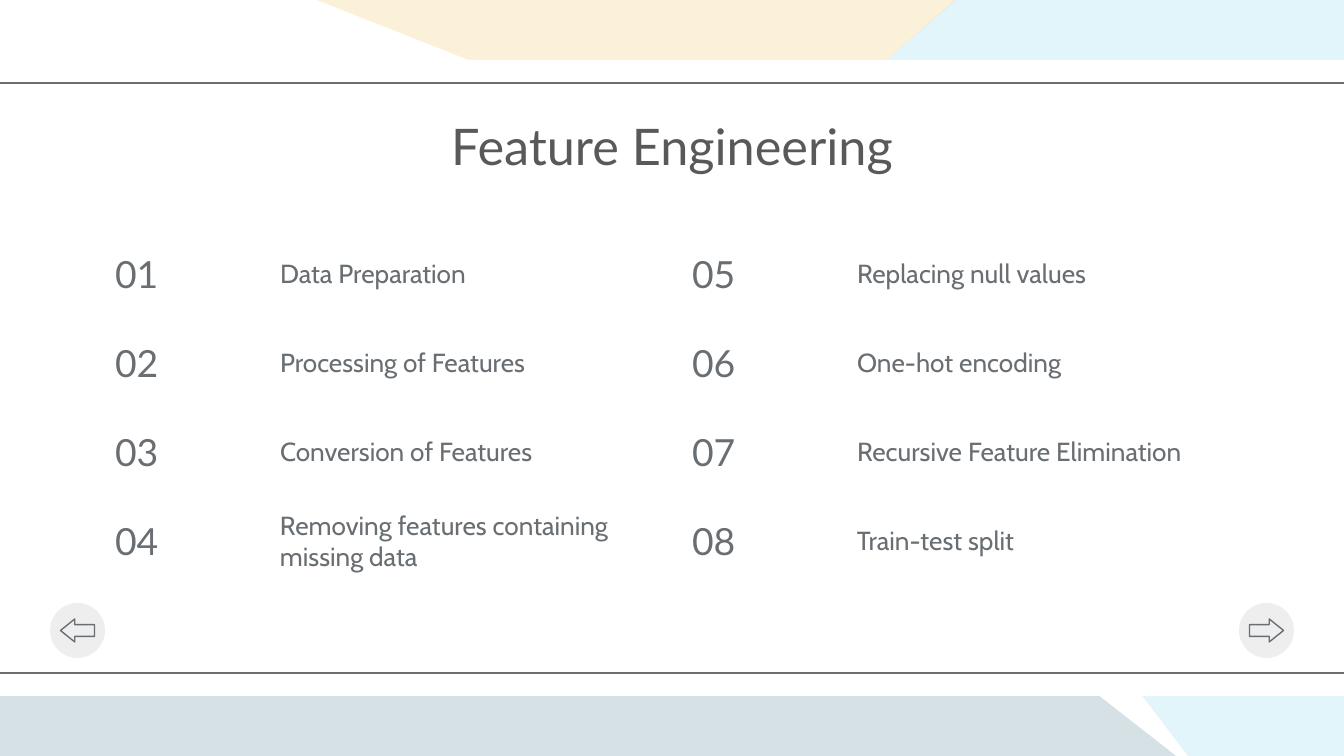
from dataclasses import dataclass

from lxml.etree import SubElement
from pptx import Presentation
from pptx.dml.color import RGBColor
from pptx.enum.shapes import MSO_CONNECTOR as Connector, MSO_SHAPE as Shape
from pptx.enum.text import MSO_ANCHOR as Anchor, PP_ALIGN as Align
from pptx.oxml.ns import qn
from pptx.util import Emu, Pt

WIDTH, HEIGHT = 1344, 756
SCALE = 9144000 / WIDTH  # EMU per px


@dataclass(frozen=True)
class Theme:
    paper: str = "FFFFFF"
    ink: str = "696E72"
    title_ink: str = "595959"
    grey_blue: str = "96B3C1"
    cream: str = "F7E5B7"
    sky: str = "9EDDEF"
    button: str = "EEEEEE"
    head_font: str = "Lato"
    body_font: str = "Cabin"
    title_size: int = 27
    number_size: int = 20
    label_size: int = 14
    line_width: float = 0.75


THEME = Theme()

LEFT_STEPS = ["Data Preparation", "Processing of Features", "Conversion of Features",
              "Removing features containing\nmissing data"]
RIGHT_STEPS = ["Replacing null values", "One-hot encoding",
               "Recursive Feature Elimination", "Train-test split"]


def px(length):
    return Emu(round(length * SCALE))


def color(value):
    return RGBColor.from_string(value)


def paint(shape, fill, opacity=100):
    shape.shadow.inherit = False
    shape.line.fill.background()
    shape.fill.solid()
    shape.fill.fore_color.rgb = color(fill)
    if opacity < 100:
        solid = shape.fill._xPr.find(qn("a:solidFill"))
        SubElement(solid[0], qn("a:alpha")).set("val", str(opacity * 1000))


def add_shape(slide, kind, left, top, width, height):
    return slide.shapes.add_shape(kind, px(left), px(top), px(width), px(height))


def add_polygon(slide, points, fill, opacity):
    builder = slide.shapes.build_freeform(*points[0], scale=SCALE)
    builder.add_line_segments(points[1:], close=True)
    paint(builder.convert_to_shape(), fill, opacity)


def add_rule(slide, left, top, width):
    line = slide.shapes.add_connector(
        Connector.STRAIGHT, px(left), px(top), px(left + width), px(top))
    line.line.color.rgb = color(THEME.ink)
    line.line.width = Pt(THEME.line_width)
    SubElement(line._element.spPr, qn("a:effectLst"))


def add_text(slide, box, text, font, size, ink=THEME.ink, align=Align.LEFT):
    frame = slide.shapes.add_textbox(*map(px, box)).text_frame
    frame.word_wrap = True
    frame.vertical_anchor = Anchor.MIDDLE
    frame.margin_left = frame.margin_right = px(13)
    frame.margin_top = frame.margin_bottom = px(13)
    for index, content in enumerate(text.split("\n")):
        paragraph = frame.add_paragraph() if index else frame.paragraphs[0]
        paragraph.alignment = align
        run = paragraph.add_run()
        run.text = content
        run.font.name = font
        run.font.size = Pt(size)
        run.font.color.rgb = color(ink)


def add_backdrop(slide, left, top, width, height):
    right, bottom = left + width, top + height
    # Coloured facets, seen above and below the panel
    add_polygon(slide, [(left, top + 332), (left, bottom), (left + 1176, bottom),
                        (left + 610, top + 313)], THEME.grey_blue, 39)
    add_polygon(slide, [(left + 317, top), (left + 956, top),
                        (left + 755, top + 173)], THEME.cream, 53)
    add_polygon(slide, [(left + 955, top), (right, top), (right, bottom),
                        (left + 1188, bottom), (left + 749, top + 180)], THEME.sky, 29)
    # White panel between two rules
    band = 60
    panel = add_shape(slide, Shape.RECTANGLE, left, top + band, width, height - 2 * band)
    paint(panel, THEME.paper)
    for rule_top in (top + 83, bottom - 83):
        add_rule(slide, left, rule_top, width)


def add_steps(slide, left, top, labels, first, last_width):
    pitch, row_height, number_width, label_offset, label_width = 89, 59, 172, 165, 419
    for row, label in enumerate(labels):
        row_top = top + row * pitch
        add_text(slide, (left, row_top, number_width, row_height),
                 f"{first + row:02d}", THEME.head_font, THEME.number_size)
        width = last_width if row == len(labels) - 1 else label_width
        add_text(slide, (left + label_offset, row_top, width, row_height),
                 label, THEME.body_font, THEME.label_size)


def add_button(slide, left, top, size, rotation):
    disc = add_shape(slide, Shape.OVAL, left, top, size, size)
    paint(disc, THEME.button)
    # Outlined arrow, centred on the disc
    width, height = 34, 23
    arrow = add_shape(slide, Shape.RIGHT_ARROW, left + (size - width) / 2,
                      top + (size - height) / 2, width, height)
    arrow.adjustments[0], arrow.adjustments[1] = 0.51, 0.62
    arrow.rotation = rotation
    arrow.shadow.inherit = False
    arrow.fill.background()
    arrow.line.color.rgb = color(THEME.ink)
    arrow.line.width = Pt(THEME.line_width)


def main():
    presentation = Presentation()
    presentation.slide_width, presentation.slide_height = px(WIDTH), px(HEIGHT)
    slide = presentation.slides.add_slide(presentation.slide_layouts[6])

    add_backdrop(slide, 0, 0, WIDTH, HEIGHT)
    # Numbered steps in two columns
    add_steps(slide, 102, 244, LEFT_STEPS, 1, 523)
    add_steps(slide, 679, 244, RIGHT_STEPS, 5, 372)
    # Title
    add_text(slide, (275, 108, 794, 74), "Feature Engineering", THEME.head_font,
             THEME.title_size, THEME.title_ink, Align.CENTER)
    # Back and forward buttons
    for left, rotation in ((50, 180), (1239, 0)):
        add_button(slide, left, 603, 55, rotation)

    presentation.save("out.pptx")


if __name__ == "__main__":
    main()
